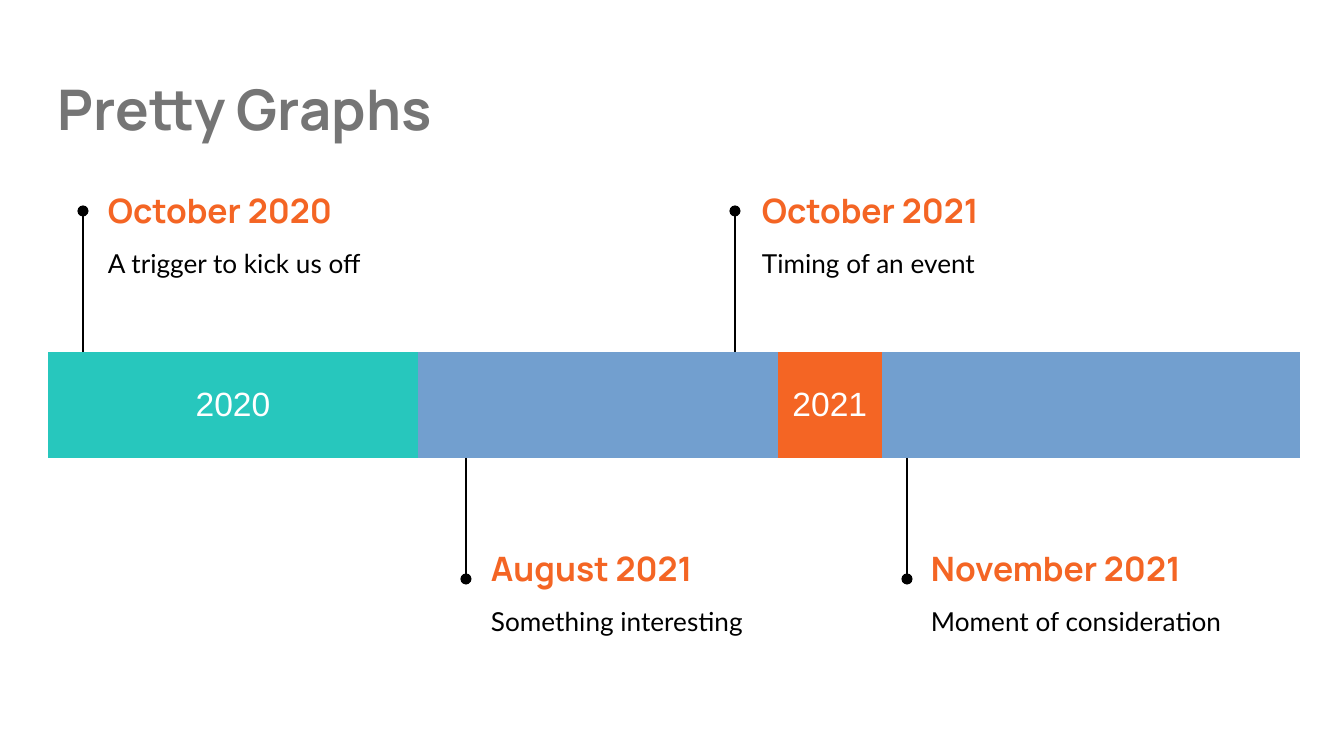
from lxml import etree
from pptx import Presentation
from pptx.dml.color import RGBColor
from pptx.enum.shapes import MSO_CONNECTOR
from pptx.enum.text import MSO_ANCHOR, MSO_AUTO_SIZE, PP_ALIGN
from pptx.oxml.ns import qn
from pptx.util import Pt

STRAIGHT = MSO_CONNECTOR.STRAIGHT
TOP, MIDDLE = MSO_ANCHOR.TOP, MSO_ANCHOR.MIDDLE
LEFT, CENTER = PP_ALIGN.LEFT, PP_ALIGN.CENTER
NO_FIT = MSO_AUTO_SIZE.NONE

GRAY, BLACK, WHITE = "757575", "000000", "FFFFFF"
TEAL, ORANGE = "27C7BD", "F46524"

TITLE = "Pretty Graphs"
MONTH_WIDTHS = [105, 104, 105, 56, 152, 104, 104, 104, 105, 104, 105, 104]
YEARS = [("2020", 0, 3, TEAL), ("2021", 4, 11, ORANGE)]
EVENTS = [
    ("October 2020", "A trigger to kick us off", 83, 95, "above"),
    ("August 2021", "Something interesting", 466, 478, "below"),
    ("October 2021", "Timing of an event", 735, 749, "above"),
    ("November 2021", "Moment of consideration", 907, 918, "below"),
]

BAR_LEFT, BAR_TOP, BAR_HEIGHT = 48, 352, 106
SIDES = {
    "above": (BAR_TOP, 211, 181),
    "below": (BAR_TOP + BAR_HEIGHT, 579, 539),
}
EVENT_WIDTH, DATE_HEIGHT, NOTE_HEIGHT, NOTE_OFFSET = 343, 58, 85, 49
INSET = 13


def px(length):
    return round(length * 914400 / 134.4)


def color(value):
    return RGBColor.from_string(value)


def write(frame, text, font, size, ink, bold=False, align=LEFT):
    frame.text = text
    paragraph = frame.paragraphs[0]
    paragraph.alignment = align
    for run in paragraph.runs:
        run.font.name = font
        run.font.size = Pt(size)
        run.font.bold = bold
        run.font.color.rgb = color(ink)
    return paragraph


def set_insets(part):
    part.margin_left = part.margin_right = px(INSET)
    part.margin_top = part.margin_bottom = px(INSET)


def set_frame(frame, anchor):
    frame.word_wrap = True
    frame.auto_size = NO_FIT
    frame.vertical_anchor = anchor
    set_insets(frame)


def add_label(slide, box, anchor):
    frame = slide.shapes.add_textbox(*map(px, box)).text_frame
    set_frame(frame, anchor)
    return frame


def add_title(slide):
    title = slide.shapes.title
    title.left, title.top, title.width, title.height = map(px, (45, 61, 1253, 94))
    set_frame(title.text_frame, TOP)
    write(title.text_frame, TITLE, "Manrope", 30, GRAY, bold=True)


def add_bar(slide):
    box = (BAR_LEFT, BAR_TOP, sum(MONTH_WIDTHS), BAR_HEIGHT)
    bar = slide.shapes.add_table(1, len(MONTH_WIDTHS), *map(px, box)).table
    bar.first_row = bar.horz_banding = False
    style_id = bar._tbl.tblPr.find(qn("a:tableStyleId"))
    style_id.text = "{2D5ABB26-0587-4C30-8999-92F81FD0307C}"
    for column, width in zip(bar.columns, MONTH_WIDTHS):
        column.width = px(width)
    for year, first, last, fill in YEARS:
        cell = bar.cell(0, first)
        cell.merge(bar.cell(0, last))
        cell.fill.solid()
        cell.fill.fore_color.rgb = color(fill)
        cell.vertical_anchor = MIDDLE
        set_insets(cell)
        write(cell.text_frame, year, "Arial", 18, WHITE, align=CENTER)


def add_stem(slide, x, start, end):
    stem = slide.shapes.add_connector(STRAIGHT, px(x), px(start), px(x), px(end))
    stem.line.color.rgb = color(BLACK)
    stem.line.width = Pt(0.75)
    etree.SubElement(stem.line._get_or_add_ln(), qn("a:tailEnd"), type="oval")
    etree.SubElement(stem._element.spPr, qn("a:effectLst"))


def add_event(slide, date, note, stem_x, label_x, side):
    bar_edge, dot_y, date_y = SIDES[side]
    add_stem(slide, stem_x, bar_edge, dot_y)
    heading = add_label(slide, (label_x, date_y, EVENT_WIDTH, DATE_HEIGHT), MIDDLE)
    write(heading, date, "Manrope", 18, ORANGE, bold=True)
    body = add_label(
        slide, (label_x, date_y + NOTE_OFFSET, EVENT_WIDTH, NOTE_HEIGHT), TOP)
    paragraph = write(body, note, "Lato", 14, BLACK)
    paragraph.line_spacing = 1.15
    paragraph.space_after = Pt(16)


def main():
    deck = Presentation()
    deck.slide_width, deck.slide_height = px(1344), px(756)
    slide = deck.slides.add_slide(deck.slide_layouts[5])
    add_title(slide)
    add_bar(slide)
    for event in EVENTS:
        add_event(slide, *event)
    deck.save("out.pptx")


if __name__ == "__main__":
    main()
